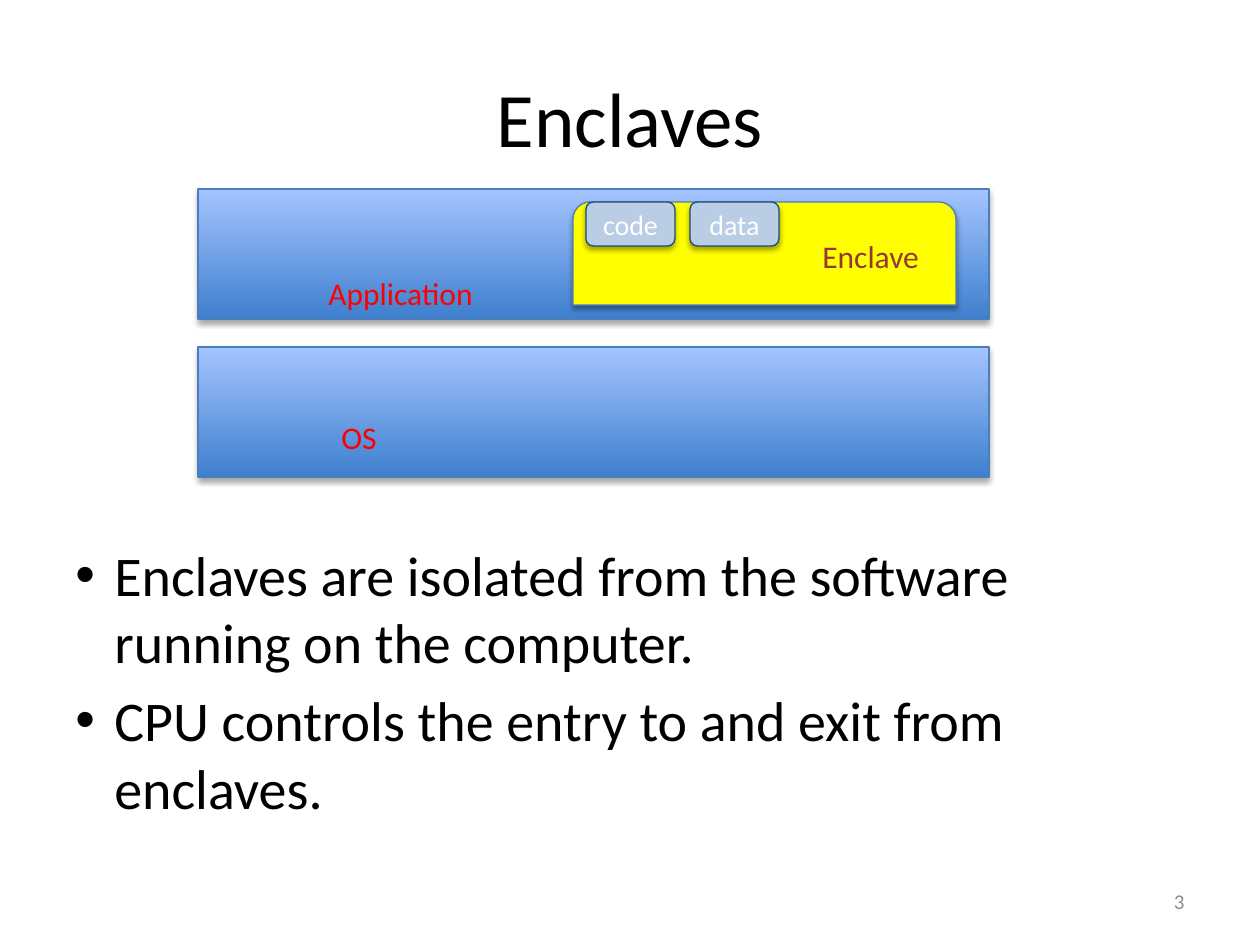
from lxml import etree
from pptx import Presentation
from pptx.dml.color import RGBColor
from pptx.enum.shapes import MSO_SHAPE
from pptx.enum.text import MSO_ANCHOR, PP_ALIGN
from pptx.oxml.ns import qn
from pptx.util import Emu, Pt

PX = 914400 / 126
FONT = "Calibri"
RECT, ROUND = MSO_SHAPE.RECTANGLE, MSO_SHAPE.ROUNDED_RECTANGLE
TAB = MSO_SHAPE.ROUND_2_SAME_RECTANGLE
LEFT, MID, RIGHT = PP_ALIGN.LEFT, PP_ALIGN.CENTER, PP_ALIGN.RIGHT
TOP, CENTRE = MSO_ANCHOR.TOP, MSO_ANCHOR.MIDDLE
HEX = {
    "black": "000000", "white": "FFFFFF", "grey": "8C8C8C", "red": "FF0000",
    "brown": "953735", "yellow": "FFFF00", "pale": "B9CDE5",
    "light": "A4C4FF", "deep": "3F80CE", "edge": "4B7EBC", "navy": "1F497D",
}


def px(n):
    return Emu(round(n * PX))


def rgb(name):
    return RGBColor.from_string(HEX[name])


def add_run(para, text, size, color, align):
    para.alignment = align
    run = para.add_run()
    run.text = text
    run.font.name = FONT
    run.font.size = Pt(size)
    run.font.color.rgb = rgb(color)


def add_frame(slide, box):
    frame = slide.shapes.add_textbox(*map(px, box)).text_frame
    frame.word_wrap = True
    return frame


def add_text(slide, box, text, size, color, align=LEFT, anchor=TOP):
    frame = add_frame(slide, box)
    frame.vertical_anchor = anchor
    add_run(frame.paragraphs[0], text, size, color, align)


def add_list(slide, box, items):
    frame = add_frame(slide, box)
    for i, item in enumerate(items):
        para = frame.add_paragraph() if i else frame.paragraphs[0]
        props = para._p.get_or_add_pPr()
        props.set("marL", str(px(39)))
        props.set("indent", str(-px(39)))
        font = etree.SubElement(props, qn("a:buFont"))
        font.set("typeface", "Arial")
        etree.SubElement(props, qn("a:buChar")).set("char", "•")
        if i:
            para.space_before = Pt(6.4)
        add_run(para, item, 32, "black", LEFT)


def add_shadow(shape):
    shape.shadow.inherit = False
    effects = shape._element.spPr.find(qn("a:effectLst"))
    outer = etree.SubElement(effects, qn("a:outerShdw"))
    values = {"blurRad": Pt(3.1), "dist": Pt(1.8), "dir": 90 * 60000}
    for key, value in values.items():
        outer.set(key, str(int(value)))
    outer.set("rotWithShape", "0")
    color = etree.SubElement(outer, qn("a:srgbClr"))
    color.set("val", HEX["black"])
    etree.SubElement(color, qn("a:alpha")).set("val", "35000")


def add_block(slide, kind, box, fill, line):
    shape = slide.shapes.add_shape(kind, *map(px, box))
    if isinstance(fill, tuple):
        shape.fill.gradient()
        shape.fill.gradient_angle = 270
        for stop, name in zip(shape.fill.gradient_stops, fill):
            stop.color.rgb = rgb(name)
    else:
        shape.fill.solid()
        shape.fill.fore_color.rgb = rgb(fill)
    shape.line.color.rgb = rgb(line)
    shape.line.width = Pt(0.75)
    add_shadow(shape)
    return shape


def add_label(shape, text, size, color, align=MID, gap=0):
    frame = shape.text_frame
    frame.margin_left = 0
    frame.margin_right = px(gap)
    frame.vertical_anchor = CENTRE
    add_run(frame.paragraphs[0], text, size, color, align)


def main():
    deck = Presentation()
    deck.slide_width, deck.slide_height = px(1260), px(945)
    slide = deck.slides.add_slide(deck.slide_layouts[6])

    # Title, bullets and page number
    add_text(slide, (63, 38, 1134, 157), "Enclaves", 44, "black", MID, CENTRE)
    add_list(slide, (63, 534, 1134, 310), [
        "Enclaves are isolated from the software running on the computer.",
        "CPU controls the entry to and exit from enclaves.",
    ])
    add_text(slide, (903, 876, 294, 50), "3", 12, "grey", RIGHT, CENTRE)

    # Application and system layers
    for top in (189, 347):
        add_block(slide, RECT, (198, top, 791, 130), ("light", "deep"), "edge")

    # Enclave with its parts
    enclave = add_block(slide, TAB, (573, 202, 383, 103), "yellow", "edge")
    add_label(enclave, "Enclave", 18, "brown", RIGHT, 32)
    for left, name in ((586, "code"), (690, "data")):
        part = add_block(slide, ROUND, (left, 202, 89, 44), "pale", "navy")
        add_label(part, name, 16, "white")

    # Layer names
    for left, top, wide, name in ((316, 268, 184, "Application"),
                                  (329, 412, 76, "OS")):
        add_text(slide, (left, top, wide, 50), name, 18, "red")

    deck.save("out.pptx")


if __name__ == "__main__":
    main()
